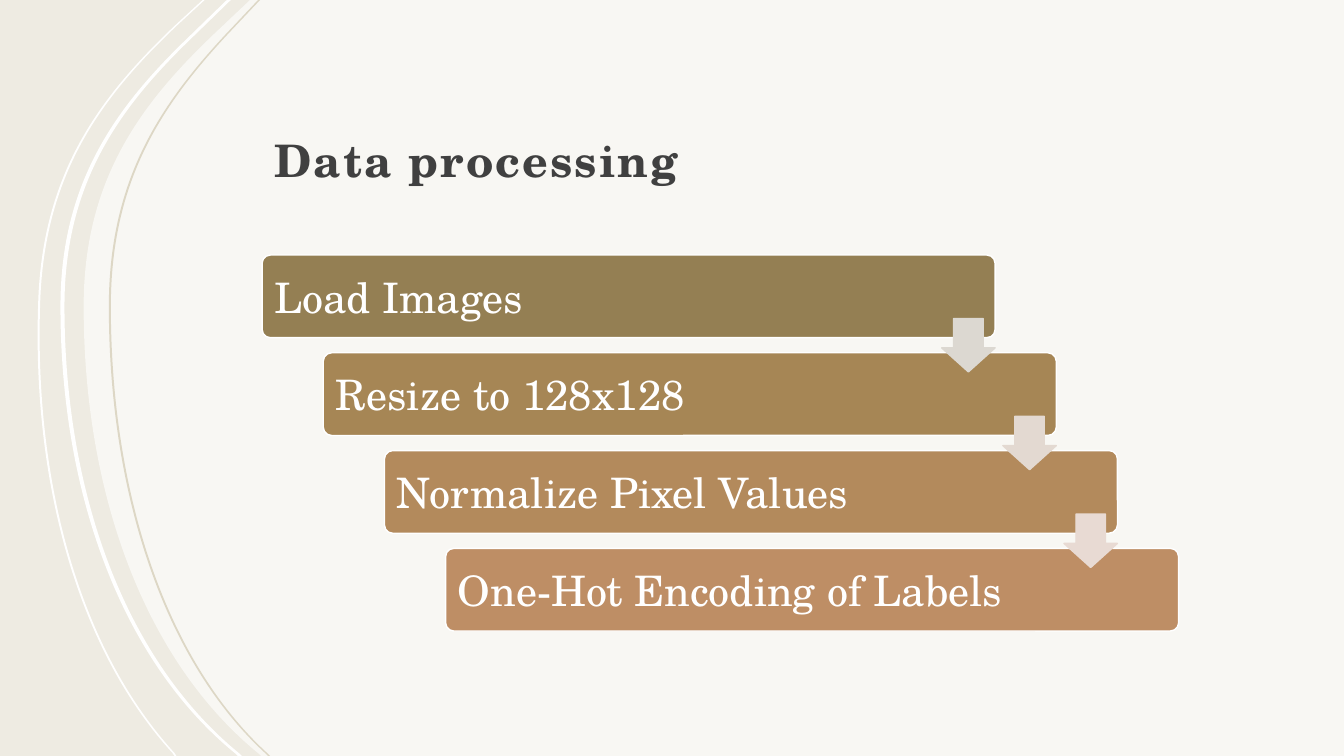
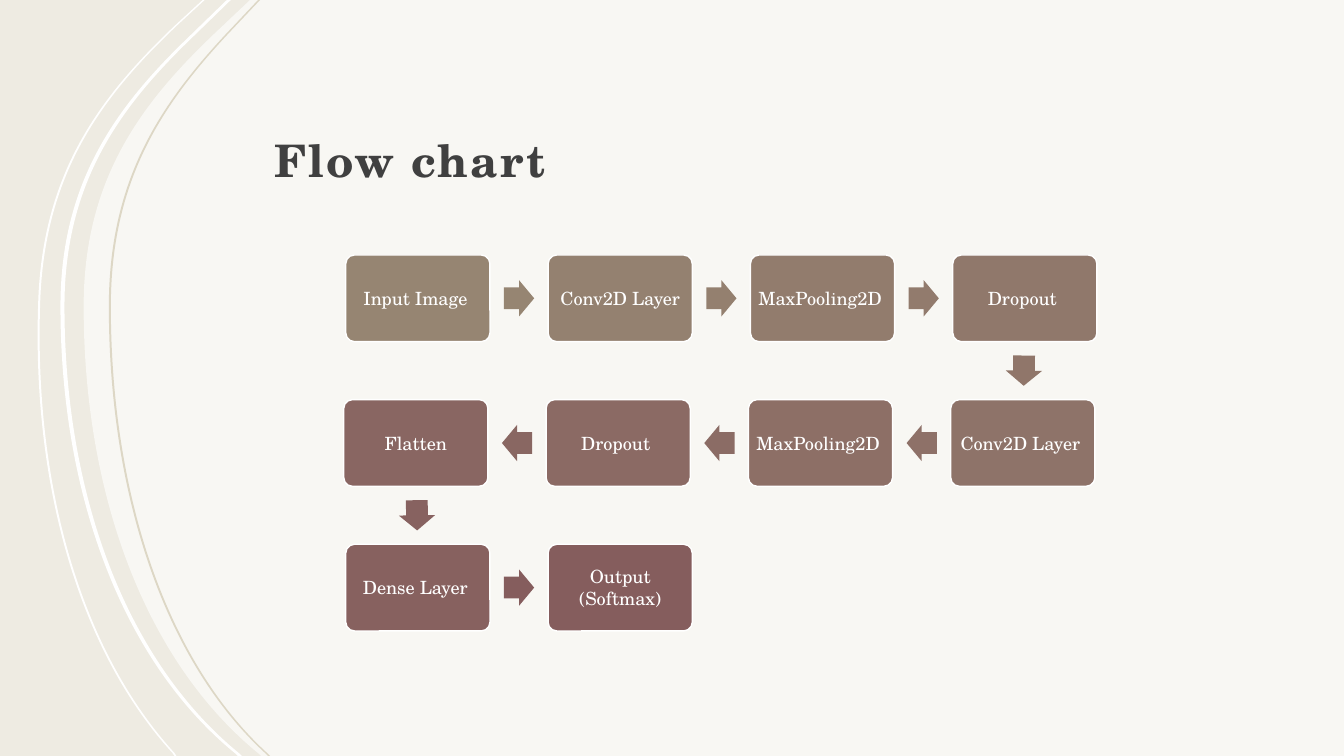
"""Build the data processing and flow chart slides."""
import math
from collections import namedtuple

from lxml import etree
from pptx import Presentation
from pptx.dml.color import RGBColor
from pptx.enum.shapes import MSO_SHAPE
from pptx.enum.text import MSO_ANCHOR, MSO_AUTO_SIZE, PP_ALIGN
from pptx.oxml.ns import qn
from pptx.util import Emu, Pt

ROUNDED = MSO_SHAPE.ROUNDED_RECTANGLE
RIGHT_ARROW = MSO_SHAPE.RIGHT_ARROW
DOWN_ARROW = MSO_SHAPE.DOWN_ARROW
MIDDLE, BOTTOM = MSO_ANCHOR.MIDDLE, MSO_ANCHOR.BOTTOM
LEFT, CENTER = PP_ALIGN.LEFT, PP_ALIGN.CENTER
NO_AUTOFIT = MSO_AUTO_SIZE.NONE

Box = namedtuple("Box", "left top width height")

PX = 9144
SLIDE_WIDTH, SLIDE_HEIGHT = 1333, 750
FONT = "TeX Gyre Schola"
SAND, WHITE, KHAKI, CHARCOAL = "EEEBE2", "FFFFFF", "DDD7C5", "404040"
FLOW_START, FLOW_END = "968572", "855D5D"
TITLE_BOX = Box(260, 48, 918, 147)
STAIRS_BOX = Box(260, 253, 909, 373)
FLOW_BOX = Box(343, 253, 745, 373)
TITLE_ONLY = 5

PANEL_EDGE = [(248, 0), (211, 35), (139, 104), (83, 179), (83, 304),
              (83, 492), (145, 657), (257, 748), (259, 750)]
RIBBONS = [
    ([(203, 0), (177, 24), (104, 93), (45, 168), (40, 297),
      (33, 480), (80, 645), (173, 747), (175, 750)], 2, WHITE),
    ([(229, 0), (193, 35), (121, 104), (64, 179), (64, 304),
      (64, 492), (126, 657), (238, 748), (240, 750)], 4, WHITE),
    ([(258, 0), (225, 35), (161, 104), (110, 179), (110, 304),
      (110, 492), (166, 657), (266, 748), (268, 750)], 2, KHAKI),
]
STEPS = [("Load Images", "947F53"), ("Resize to 128x128", "A68655"),
         ("Normalize Pixel Values", "B38A5C"),
         ("One-Hot Encoding of Labels", "BE8E65")]
STEP_ARROWS = ["DCD8D1", "E3D9D1", "E8DAD3"]
LAYERS = ["Input Image ", "Conv2D Layer", "MaxPooling2D ", "Dropout ",
          "Conv2D Layer ", "MaxPooling2D ", "Dropout ", "Flatten",
          "Dense Layer ", "Output (Softmax)"]


def px(length):
    """Turn px into EMU."""
    return Emu(round(length * PX))


def paint(fill, colour, opacity=100):
    """Give a fill a solid hex colour and an opacity in percent."""
    fill.solid()
    fill.fore_color.rgb = RGBColor.from_string(colour)
    if opacity < 100:
        tint = fill._xPr.find(qn("a:solidFill"))[0]
        etree.SubElement(tint, qn("a:alpha")).set("val", str(opacity * 1000))


def blend(share):
    """Mix the first and last flow colours."""
    start, end = (RGBColor.from_string(c) for c in (FLOW_START, FLOW_END))
    return "".join(f"{round(a + (b - a) * share):02X}"
                   for a, b in zip(start, end))


def add_preset(slide, preset, box, adjustments, colour, outline=None):
    """Add a flat preset shape with an optional one point outline."""
    shape = slide.shapes.add_shape(preset, *map(px, box))
    shape.shadow.inherit = False
    for index, value in enumerate(adjustments):
        shape.adjustments[index] = value
    paint(shape.fill, colour)
    if outline:
        shape.line.width = Pt(1)
        paint(shape.line.fill, outline)
    else:
        shape.line.fill.background()
    return shape


def write(shape, text, size, colour, align, anchor, margin):
    """Set one paragraph of text and return it."""
    frame = shape.text_frame
    frame.text = text
    frame.word_wrap = True
    frame.auto_size = NO_AUTOFIT
    frame.vertical_anchor = anchor
    frame.margin_left = frame.margin_right = px(margin)
    frame.margin_top = frame.margin_bottom = px(margin)
    paragraph = frame.paragraphs[0]
    paragraph.alignment = align
    font = paragraph.runs[0].font
    font.name, font.size = FONT, Pt(size)
    font.color.rgb = RGBColor.from_string(colour)
    return paragraph


def add_card(slide, box, colour, text, size, align, margin):
    """Add a rounded white-edged card with text."""
    card = add_preset(slide, ROUNDED, box, [0.1], colour, WHITE)
    write(card, text, size, WHITE, align, MIDDLE, margin)


def segments(edge):
    """Split an edge into line, two curves and line."""
    return [edge[:1], edge[1:2], edge[2:5], edge[5:8], edge[8:]]


def add_outline(slide, parts, colour, opacity=100):
    """Add a closed freeform of lines and cubic curves."""
    start, *ends = [tuple(map(px, part[-1])) for part in parts]
    builder = slide.shapes.build_freeform(*start, scale=1.0)
    builder.add_line_segments(ends, close=True)
    outline = builder.convert_to_shape()
    outline.shadow.inherit = False
    outline.line.fill.background()
    paint(outline.fill, colour, opacity)
    strokes = list(outline.element.iter(qn("a:lnTo")))
    for stroke, part in zip(strokes, parts[1:]):
        if len(part) == 3:
            curve = etree.Element(qn("a:cubicBezTo"))
            for x, y in part:
                point = etree.SubElement(curve, qn("a:pt"))
                point.set("x", str(px(x) - outline.left))
                point.set("y", str(px(y) - outline.top))
            stroke.getparent().replace(stroke, curve)
    return outline


def decorate_master(master, slide):
    """Draw the curved panel and ribbons and move them to the master."""
    paint(master.background.fill, SAND)
    corners = [[(SLIDE_WIDTH, SLIDE_HEIGHT)], [(SLIDE_WIDTH, 0)]]
    outlines = [add_outline(slide, segments(PANEL_EDGE) + corners, WHITE, 60)]
    for edge, thickness, colour in RIBBONS:
        inner = [(x - thickness, y) for x, y in reversed(edge)]
        parts = segments(edge) + segments(inner)
        outlines.append(add_outline(slide, parts, colour))
    for index, outline in enumerate(outlines):
        outline.element.nvSpPr.cNvPr.set("id", str(20 + index))
        master.shapes.element.insert(2 + index, outline.element)


def add_titled_slide(deck, heading):
    """Add a slide with its styled title."""
    slide = deck.slides.add_slide(deck.slide_layouts[TITLE_ONLY])
    title = slide.shapes.title
    title.left, title.top, title.width, title.height = map(px, TITLE_BOX)
    paragraph = write(title, heading, 32, CHARCOAL, LEFT, BOTTOM, 12)
    title.text_frame.margin_bottom = px(10)
    paragraph.line_spacing = 1.3
    run = paragraph.runs[0]
    run.font.bold = True
    run._r.get_or_add_rPr().set("spc", "150")
    return slide


def add_stairs(slide, area):
    """Place the processing steps as a staircase filling the area."""
    width, height, arrow = 727, 82, 53
    gaps = len(STEPS) - 1
    stairs = [Box(area.left + (area.width - width) * i / gaps,
                  area.top + (area.height - height) * i / gaps, width, height)
              for i in range(len(STEPS))]
    for box, (text, colour) in zip(stairs, STEPS):
        add_card(slide, box, colour, text, 30, LEFT, 10)
    for box, colour in zip(stairs, STEP_ARROWS):
        arrow_box = Box(box.left + width - arrow, box.top + 63, arrow, arrow)
        add_preset(slide, DOWN_ARROW, arrow_box, [0.55, 0.45], colour, colour)


def add_flow(slide, area):
    """Place the layers on a winding grid joined by arrows."""
    columns, rows, width, height, row_shift = 4, 3, 143, 86, -2
    arrow_width, arrow_height = 30, 36
    cells = []
    for index in range(len(LAYERS)):
        row, place = divmod(index, columns)
        column = columns - 1 - place if row % 2 else place
        left = area.left + (area.width - width) * column / (columns - 1)
        top = area.top + (area.height - height) * row / (rows - 1)
        cells.append(Box(left + row_shift * (row % 2), top, width, height))
    for index, (cell, text) in enumerate(zip(cells, LAYERS)):
        add_card(slide, cell, blend(index / (len(cells) - 1)), text,
                 13, CENTER, 3)
    for index, (cell, following) in enumerate(zip(cells, cells[1:])):
        across, down = following.left - cell.left, following.top - cell.top
        arrow_box = Box(cell.left + (width + across - arrow_width) / 2,
                        cell.top + (height + down - arrow_height) / 2,
                        arrow_width, arrow_height)
        arrow = add_preset(slide, RIGHT_ARROW, arrow_box, [0.6, 0.5],
                           blend(index / (len(cells) - 2)))
        arrow.rotation = math.degrees(math.atan2(down, across))


def main():
    """Build and save the deck."""
    deck = Presentation()
    deck.slide_width, deck.slide_height = px(SLIDE_WIDTH), px(SLIDE_HEIGHT)
    processing = add_titled_slide(deck, "Data processing")
    decorate_master(deck.slide_master, processing)
    add_stairs(processing, STAIRS_BOX)
    add_flow(add_titled_slide(deck, "Flow chart"), FLOW_BOX)
    deck.save("out.pptx")


if __name__ == "__main__":
    main()
